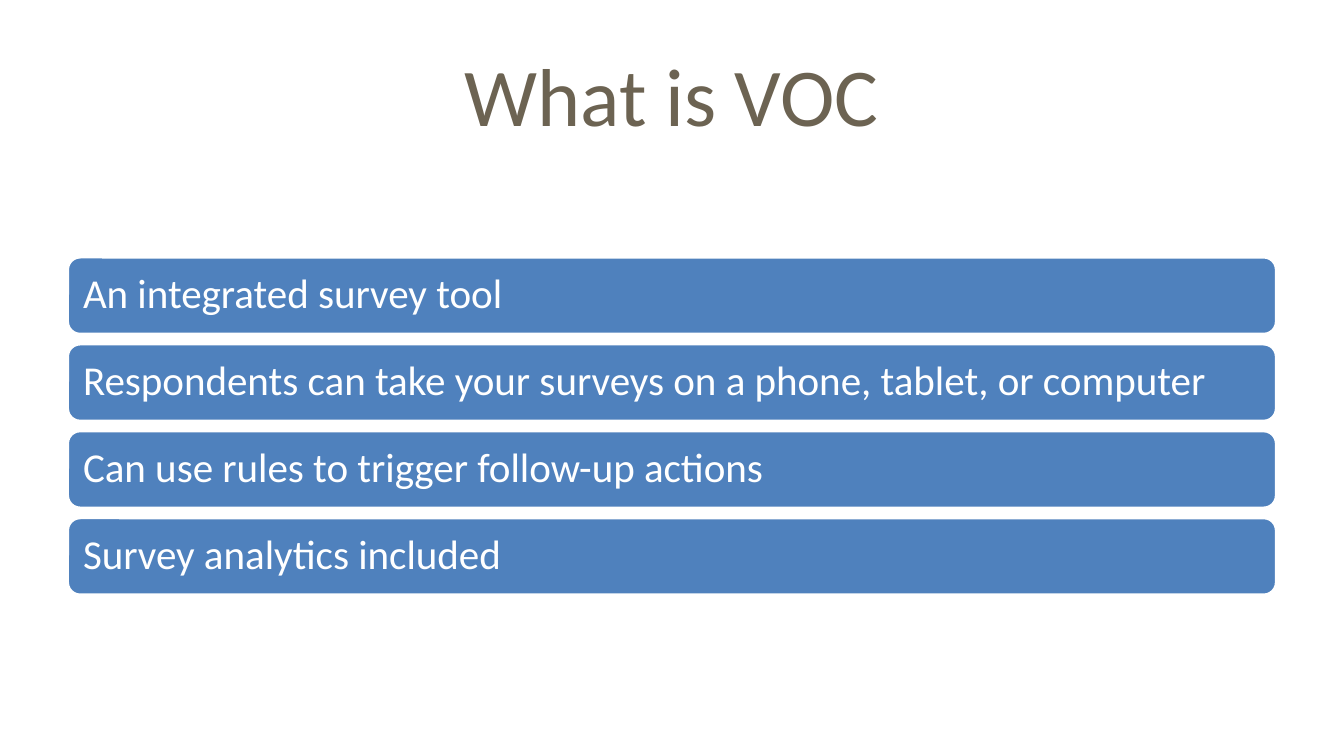
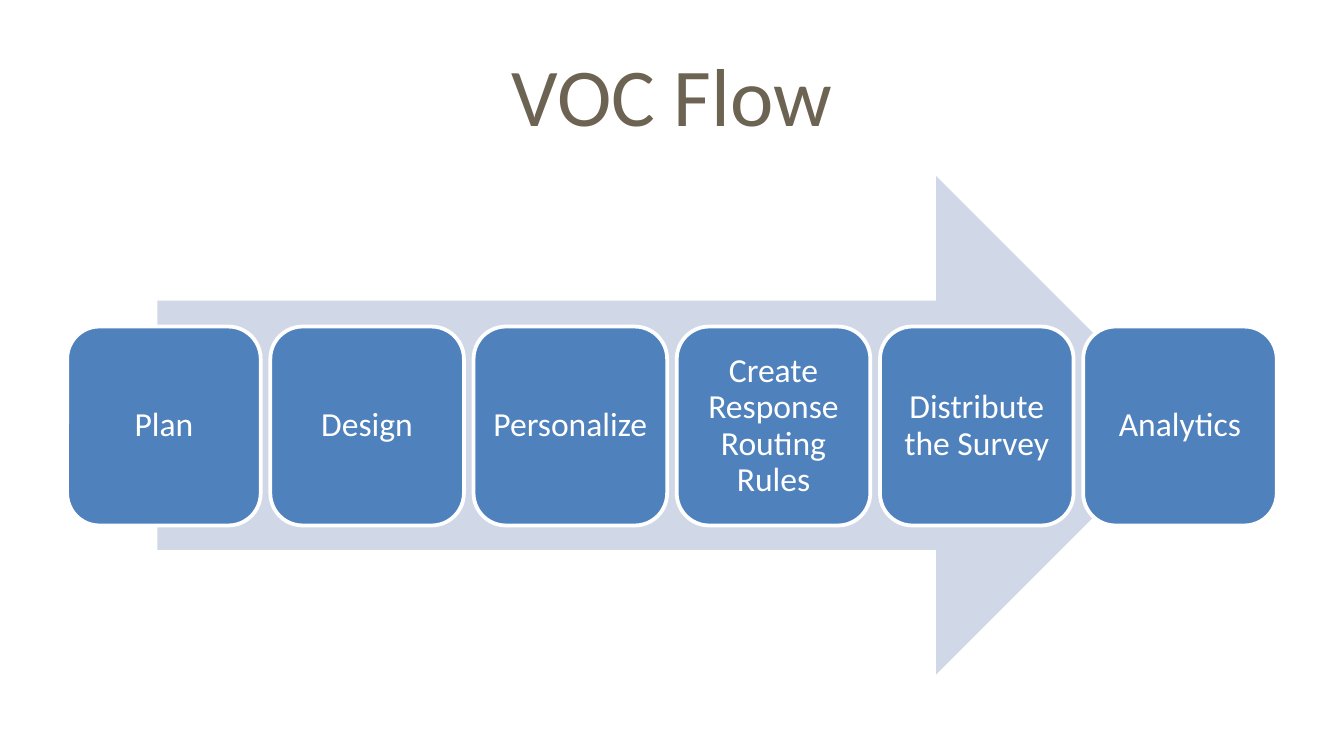
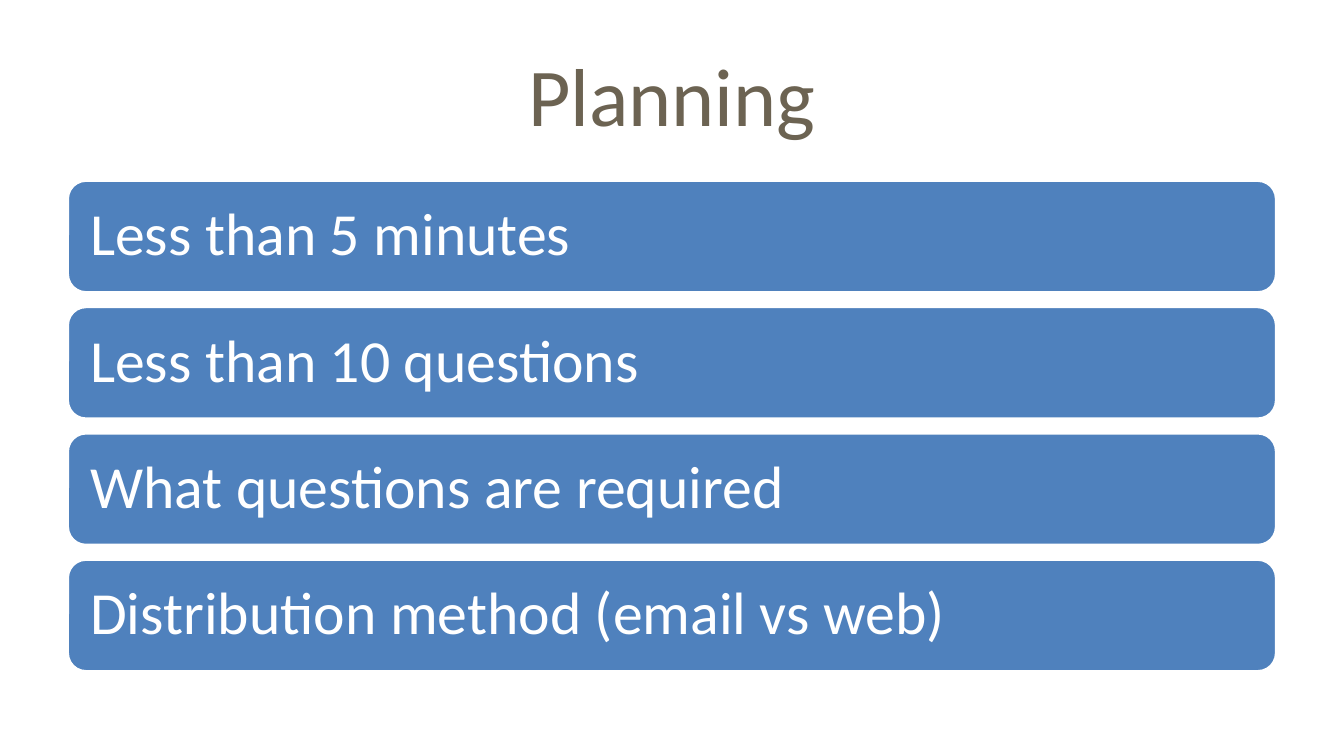
from pptx import Presentation
from pptx.dml.color import RGBColor
from pptx.enum.shapes import MSO_SHAPE as Shape
from pptx.enum.text import MSO_ANCHOR as Anchor, PP_ALIGN as Align
from pptx.util import Inches, Pt

BLUE = RGBColor(0x4F, 0x81, 0xBD)
PALE_BLUE = RGBColor(0xD0, 0xD8, 0xE8)
WHITE = RGBColor(0xFF, 0xFF, 0xFF)
BROWN = RGBColor(0x6C, 0x63, 0x52)
FONT = "Calibri"
MARGIN = 0.5
CONTENT_WIDTH = 9

presentation = Presentation()
presentation.slide_width = Inches(10)
presentation.slide_height = Inches(10 * 9 / 16)


def set_text(shape, text, size, color, align):
    frame = shape.text_frame
    frame.word_wrap = True
    frame.vertical_anchor = Anchor.MIDDLE
    paragraph = frame.paragraphs[0]
    paragraph.text = text
    paragraph.alignment = align
    paragraph.font.name = FONT
    paragraph.font.size = Pt(size)
    paragraph.font.color.rgb = color


def add_card(slide, left, top, width, height, text, size, align, inset):
    card = slide.shapes.add_shape(
        Shape.ROUNDED_RECTANGLE, Inches(left), Inches(top), Inches(width), Inches(height))
    card.shadow.inherit = False
    card.fill.solid()
    card.fill.fore_color.rgb = BLUE
    card.line.color.rgb = WHITE
    card.line.width = Pt(2)
    set_text(card, text, size, WHITE, align)
    frame = card.text_frame
    frame.margin_left = frame.margin_right = Inches(inset)
    frame.margin_top = frame.margin_bottom = Inches(inset)
    frame.paragraphs[0].line_spacing = 0.9


slides = []
for title in ["What is VOC", "VOC Flow", "Planning"]:
    slide = presentation.slides.add_slide(presentation.slide_layouts[6])
    title_box = slide.shapes.add_textbox(
        Inches(MARGIN), Inches(0.23), Inches(CONTENT_WIDTH), Inches(0.94))
    set_text(title_box, title, 44, BROWN, Align.CENTER)
    slides.append(slide)
overview_slide, flow_slide, planning_slide = slides

features = [
    "An integrated survey tool",
    "Respondents can take your surveys on a phone, tablet, or computer",
    "Can use rules to trigger follow-up actions",
    "Survey analytics included",
]
guidelines = [
    "Less than 5 minutes",
    "Less than 10 questions",
    "What questions are required",
    "Distribution method (email vs web)",
]
bar_lists = [
    (overview_slide, features, 1.91, 3.85, 0.58, 22, 0.09),
    (planning_slide, guidelines, 1.34, 4.16, 0.84, 32, 0.13),
]
for slide, items, first_top, last_top, height, size, inset in bar_lists:
    bar_pitch = (last_top - first_top) / (len(items) - 1)
    for row, item in enumerate(items):
        add_card(slide, MARGIN, first_top + row * bar_pitch, CONTENT_WIDTH, height,
                 item, size, Align.LEFT, inset)

arrow = flow_slide.shapes.add_shape(
    Shape.RIGHT_ARROW, Inches(1.17), Inches(1.31), Inches(7.65), Inches(3.71))
arrow.shadow.inherit = False
arrow.fill.solid()
arrow.fill.fore_color.rgb = PALE_BLUE
arrow.line.fill.background()

steps = ["Plan", "Design", "Personalize", "Create Response Routing Rules",
         "Distribute the Survey", "Analytics"]
step_width = 1.44
step_pitch = (CONTENT_WIDTH - step_width) / (len(steps) - 1)
for column, step in enumerate(steps):
    add_card(flow_slide, MARGIN + column * step_pitch, 2.43, step_width, 1.48,
             step, 18, Align.CENTER, 0.07)

presentation.save("out.pptx")
